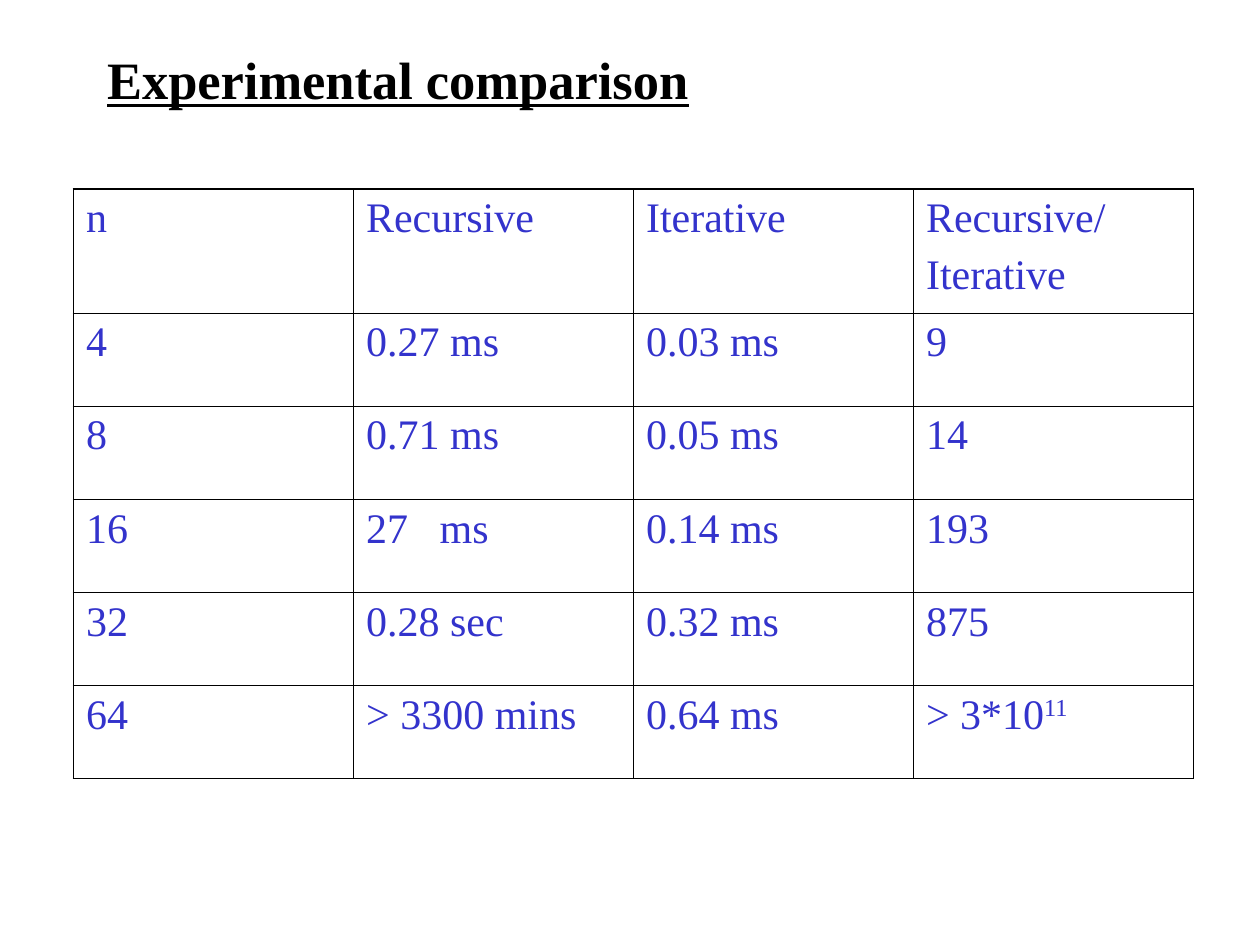
"""Build a slide comparing recursive and iterative running times in a table."""
import pptx
import pptx.dml.color
import pptx.enum.text
import pptx.oxml
import pptx.oxml.ns
import pptx.util

Pt = pptx.util.Pt
HUES = {"ink": "000000", "blue": "3333CC"}
FACE = "Times New Roman"
THIN, THICK = 0.45, 1.08
ROWS = [
    ["n", "Recursive", "Iterative", "Recursive/\nIterative"],
    ["4", "0.27 ms", "0.03 ms", "9"],
    ["8", "0.71 ms", "0.05 ms", "14"],
    ["16", "27\tms", "0.14 ms", "193"],
    ["32", "0.28 sec", "0.32 ms", "875"],
    ["64", "> 3300 mins", "0.64 ms", "> 3*10^11"],
]


def write(para, text, size, hue):
    run = para.add_run()
    run.text = text
    run.font.name = FACE
    run.font.size = Pt(size)
    run.font.color.rgb = pptx.dml.color.RGBColor.from_string(HUES[hue])
    return run


def edge(cell, side, width):
    cell._tc.get_or_add_tcPr().append(pptx.oxml.parse_xml(
        f'<a:ln{side} {pptx.oxml.ns.nsdecls("a")} w="{Pt(width)}"><a:solidFill>'
        f'<a:srgbClr val="{HUES["ink"]}"/></a:solidFill></a:ln{side}>'))


deck = pptx.Presentation()
deck.slide_width, deck.slide_height = Pt(720), Pt(540)
slide = deck.slides.add_slide(deck.slide_layouts[5])

title = slide.shapes.title
title.left, title.top, title.width, title.height = Pt(54), Pt(24), Pt(486), Pt(42)
frame = title.text_frame
frame.auto_size = pptx.enum.text.MSO_AUTO_SIZE.NONE
frame.vertical_anchor = pptx.enum.text.MSO_ANCHOR.MIDDLE
frame.paragraphs[0].alignment = pptx.enum.text.PP_ALIGN.LEFT
head = write(frame.paragraphs[0], "Experimental comparison", 30, "ink")
head.font.bold = True
head.font.underline = True

last, end = len(ROWS) - 1, len(ROWS[0]) - 1
table = slide.shapes.add_table(
    last + 1, end + 1, Pt(42), Pt(108), Pt(640), Pt(337)).table
table.first_row = False
table.horz_banding = False
for col in table.columns:
    col.width = Pt(160)
for r, row in enumerate(ROWS):
    table.rows[r].height = Pt(53.2 if r else 71)
    for c, text in enumerate(row):
        cell = table.cell(r, c)
        rims = {"L": c == 0, "R": c == end, "T": r == 0, "B": r == last}
        for side, outer in rims.items():
            edge(cell, side, THICK if outer else THIN)
        cell.fill.background()
        for i, line in enumerate(text.split("\n")):
            para = cell.text_frame.paragraphs[0]
            if i:
                para = cell.text_frame.add_paragraph()
                para.space_before = Pt(6)
            if "\t" in line:
                para._p.get_or_add_pPr().append(pptx.oxml.parse_xml(
                    f'<a:tabLst {pptx.oxml.ns.nsdecls("a")}>'
                    f'<a:tab pos="{Pt(42)}" algn="l"/></a:tabLst>'))
            base, _, power = line.partition("^")
            write(para, base, 24, "blue")
            if power:
                run = write(para, power, 24, "blue")
                run._r.get_or_add_rPr().set("baseline", "30000")

deck.save("out.pptx")
